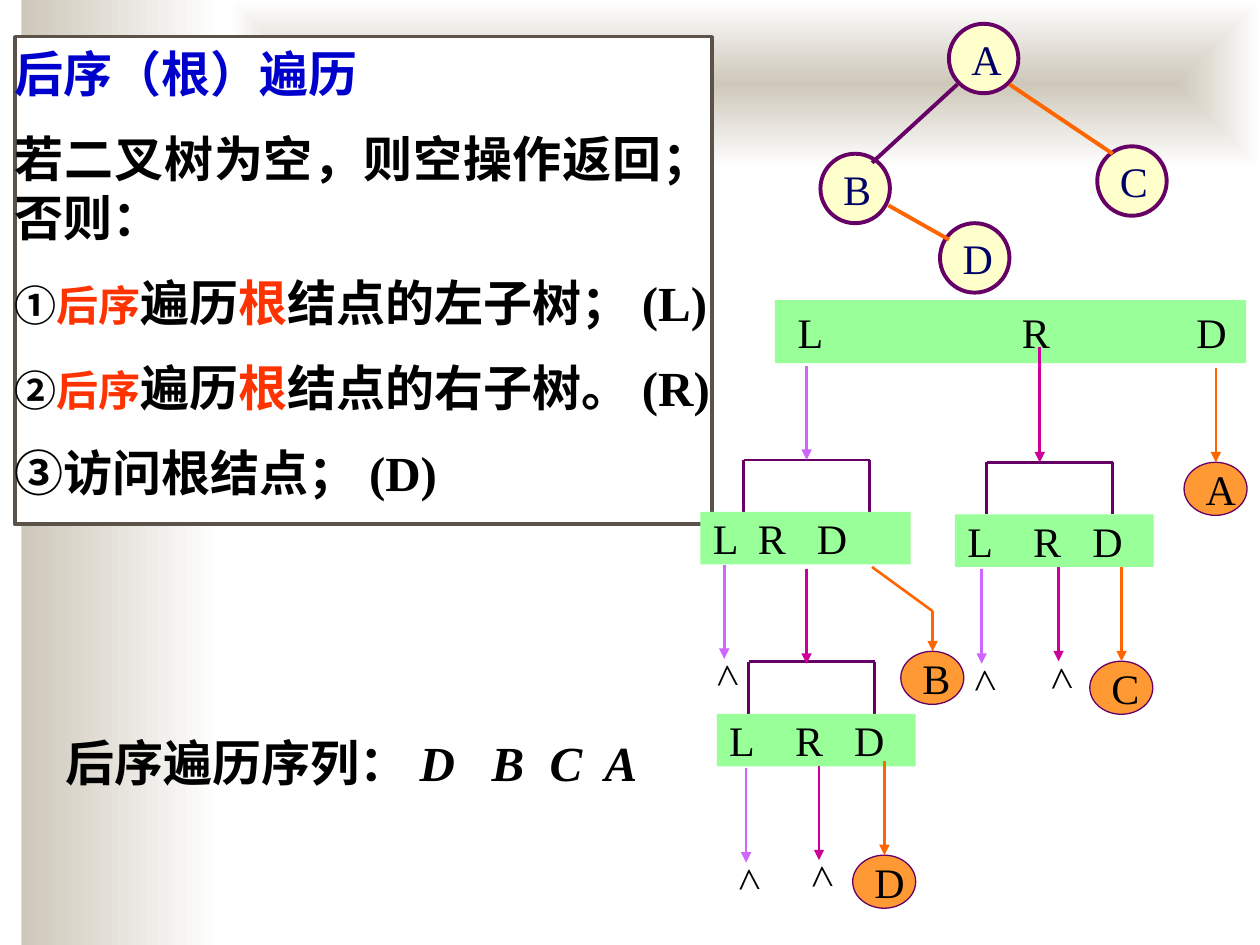
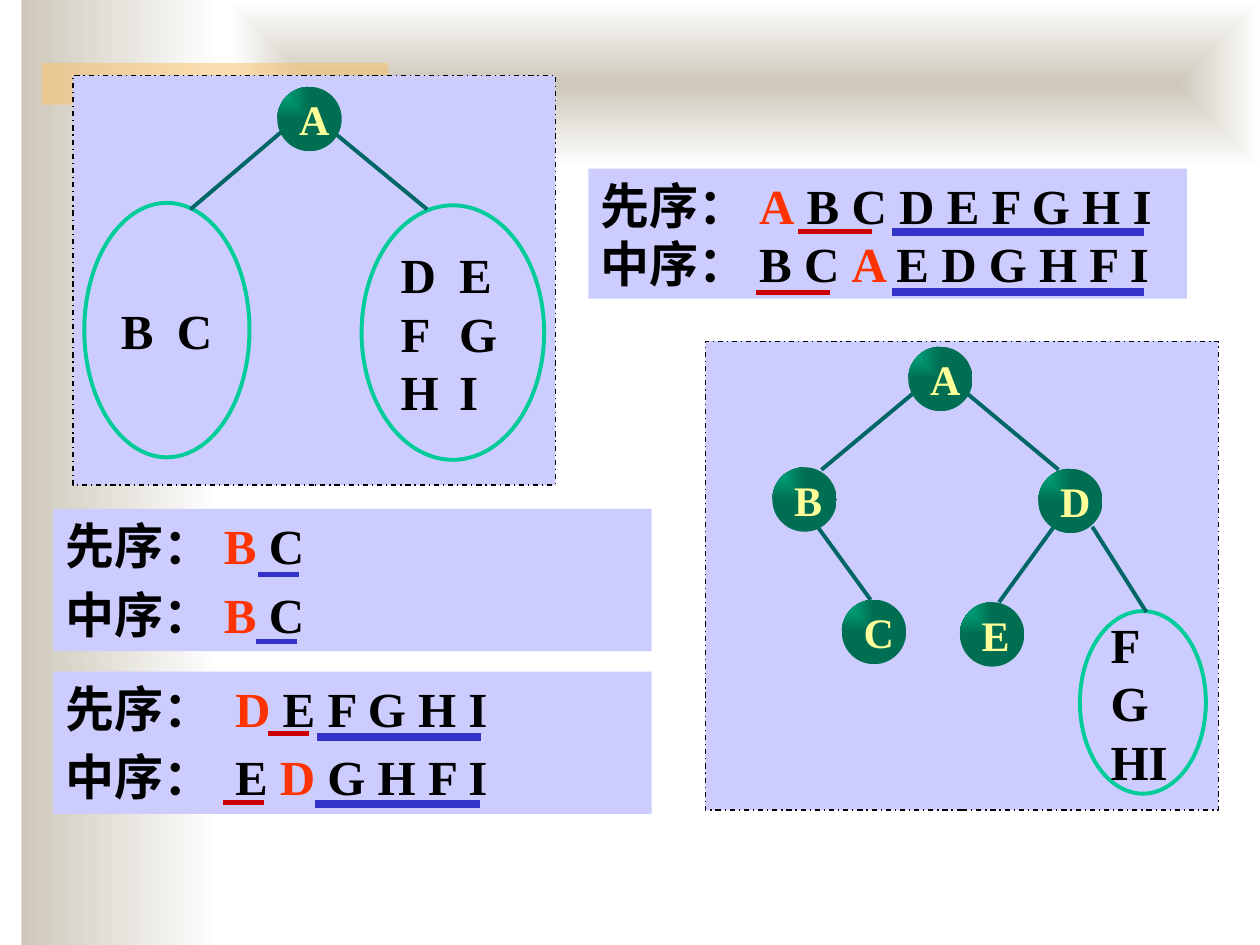
from lxml.etree import SubElement
from pptx import Presentation
from pptx.dml.color import RGBColor
from pptx.enum.dml import MSO_LINE
from pptx.enum.shapes import MSO_CONNECTOR, MSO_SHAPE
from pptx.enum.text import MSO_ANCHOR, PP_ALIGN
from pptx.oxml.ns import qn
from pptx.util import Cm, Pt

COLORS = {
    "black": "000000", "white": "FFFFFF", "sand": "CEC8BA", "amber": "FAC164",
    "frame": "5B5249", "title": "0000CC", "key": "FF3300", "cream": "FFFFCC",
    "navy": "000066", "purple": "660066", "orange": "FF6600", "leaf": "FF9933",
    "card": "99FF99", "left": "CC66FF", "right": "CC0099", "panel": "CCCCFF",
    "subtree": "00CC99", "edge": "006666", "shine": "00B285", "shade": "006E52",
    "label": "FFFF99", "red": "CC0000", "blue": "3333CC",
}
LATIN, CHINESE = "Times New Roman", "Noto Sans CJK SC"
ARROW = 1.9


def rgb(name):
    """Return the named colour."""
    return RGBColor.from_string(COLORS[name])


def box(slide, kind, place, fill=None, line=None, width=1.0):
    """Add a preset shape at left, top, width, height in centimetres."""
    shape = slide.shapes.add_shape(kind, *[Cm(length) for length in place])
    shape.shadow.inherit = False
    if fill:
        shape.fill.solid()
        shape.fill.fore_color.rgb = rgb(fill)
    else:
        shape.fill.background()
    if line:
        shape.line.color.rgb = rgb(line)
        shape.line.width = Pt(width)
    else:
        shape.line.fill.background()
    return shape


def shade(shape, start, end, path=None, focus=None):
    """Give a shape a level gradient, or one that spreads from a focus."""
    shape.fill.gradient()
    for stop, color, position in zip(shape.fill.gradient_stops, (start, end), (0, 1)):
        stop.color.rgb = rgb(color)
        stop.position = position
    shape.fill.gradient_angle = 0
    if path:
        gradient = shape.fill._xPr.find(qn("a:gradFill"))
        gradient.remove(gradient.find(qn("a:lin")))
        spread = SubElement(gradient, qn("a:path"), path=path)
        sides = {side: str(percent * 1000) for side, percent in zip("ltrb", focus)}
        SubElement(spread, qn("a:fillToRect"), **sides)


def write(shape, paragraphs, size=28, color="black", bold=True, gap=0, tabs=(),
          align=PP_ALIGN.LEFT, anchor=MSO_ANCHOR.TOP, wrap=True,
          insets=(0.25, 0.13, 0.25, 0.13)):
    """Fill a shape with paragraphs of (text, font settings) runs."""
    frame = shape.text_frame
    frame.word_wrap = wrap
    frame.vertical_anchor = anchor
    frame.margin_left, frame.margin_top, frame.margin_right, frame.margin_bottom = [
        Cm(inset) for inset in insets]
    for number, runs in enumerate(paragraphs):
        paragraph = frame.add_paragraph() if number else frame.paragraphs[0]
        paragraph.alignment = align
        if tabs:
            stops = SubElement(paragraph._p.get_or_add_pPr(), qn("a:tabLst"))
            for tab in tabs:
                SubElement(stops, qn("a:tab"), pos=str(Cm(tab)), algn="l")
        if number and gap:
            paragraph.space_before = Pt(gap)
        for text, settings in runs:
            run = paragraph.add_run()
            run.text = text
            run.font.name = LATIN
            run.font.size = Pt(settings.get("size", size))
            run.font.bold = bold
            run.font.italic = settings.get("italic", False)
            run.font.color.rgb = rgb(settings.get("color", color))
            SubElement(run.font._element, qn("a:ea"), typeface=CHINESE)


def plain(*lines):
    """Turn strings into paragraphs of one run."""
    return [[(text, {})] for text in lines]


def stroke(slide, start, end, color, width, arrow=False):
    """Draw a straight line, with an arrowhead at its end on request."""
    connector = slide.shapes.add_connector(
        MSO_CONNECTOR.STRAIGHT, *[Cm(length) for length in (*start, *end)])
    connector.line.color.rgb = rgb(color)
    connector.line.width = Pt(width)
    if arrow:
        SubElement(connector.line._get_or_add_ln(), qn("a:tailEnd"), type="triangle")
    SubElement(connector._element.spPr, qn("a:effectLst"))


def add_slide(deck):
    """Add a blank slide with the two sand-coloured bands."""
    slide = deck.slides.add_slide(deck.slide_layouts[6])
    side = box(slide, MSO_SHAPE.RECTANGLE, (0.43, 0, 4.01, 19.05))
    shade(side, "sand", "white")
    top = box(slide, MSO_SHAPE.RECTANGLE, (4.65, 0, 20.75, 3.38))
    shade(top, "sand", "white", "shape", (50, 50, 50, 50))
    return slide


def tree_node(slide, letter, left, top):
    """Add a cream node of the sample tree."""
    node = box(slide, MSO_SHAPE.OVAL, (left, top, 1.4, 1.4), "cream", "purple", 2.25)
    write(node, plain(letter), 24, "navy", False, anchor=MSO_ANCHOR.MIDDLE, wrap=False)


def order_card(slide, place, tabs, inset=0.25):
    """Add a green card with the letters L, R and D."""
    card = box(slide, MSO_SHAPE.RECTANGLE, place, "card")
    write(card, plain("L\tR\tD"), 24, bold=False, tabs=tabs,
          anchor=MSO_ANCHOR.MIDDLE, insets=(inset, 0.13, 0, 0.13))


def call_bracket(slide, left, top, card_left, card_width, tabs):
    """Add a bracket that opens onto the card of a recursive call."""
    right, bottom = left + 2.54, top + 1.05
    stroke(slide, (left, top), (right, top), "purple", 1.5)
    for x in (left, right):
        stroke(slide, (x, top), (x, bottom), "purple", 1.5)
    order_card(slide, (card_left, bottom, card_width, 1.06), tabs)


def visit(slide, letter, x, top, length=ARROW):
    """Add an arrow that ends in a visited node."""
    tip = top + length
    leaf = box(slide, MSO_SHAPE.OVAL, (x - 0.64, tip, 1.27, 1.07), "leaf", "purple", 0.75)
    write(leaf, plain(letter), 24, bold=False, anchor=MSO_ANCHOR.MIDDLE, wrap=False)
    stroke(slide, (x, top), (x, tip), "orange", 1.5, True)


def empty_subtree(slide, x, top, color):
    """Add an arrow that ends in the sign for an empty subtree."""
    tip = top + ARROW
    sign = slide.shapes.add_textbox(Cm(x - 0.53), Cm(tip - 0.33), Cm(1.07), Cm(1.27))
    sign.rotation = 268.3
    write(sign, plain(">"), 24, bold=False)
    stroke(slide, (x, top), (x, tip), color, 1.5, True)


def green_node(slide, letter, left, top):
    """Add a shaded node of a rebuilt tree."""
    node = box(slide, MSO_SHAPE.OVAL, (left, top, 1.3, 1.3))
    shade(node, "shine", "shade", "rect", (0, 0, 100, 100))
    write(node, plain(letter), 24, "label", anchor=MSO_ANCHOR.MIDDLE, wrap=False)


def subtree(slide, place, lines, tabs=(), wrap=True):
    """Add an outlined subtree whose nodes are still unordered."""
    outline = box(slide, MSO_SHAPE.OVAL, place, line="subtree", width=2.25)
    write(outline, plain(*lines), tabs=tabs, anchor=MSO_ANCHOR.MIDDLE, wrap=wrap,
          insets=(0.25, 0.13, 0, 0.13))


def tree_panel(slide, place):
    """Add the dashed panel behind a tree."""
    panel = box(slide, MSO_SHAPE.RECTANGLE, place, "panel", "black", 0.75)
    panel.line.dash_style = MSO_LINE.DASH_DOT


def sequences(slide, place, orders, gap=0):
    """Add a panel of sequences, each as text before, root and text after."""
    panel = box(slide, MSO_SHAPE.RECTANGLE, place, "panel")
    write(panel, [[(before, {}), (root, {"color": "key"}), (after, {})]
                  for before, root, after in orders], gap=gap)


def postorder_slide(deck):
    """Build the slide on postorder traversal."""
    slide = add_slide(deck)
    rules = box(slide, MSO_SHAPE.RECTANGLE, (0.3, 0.74, 14.05, 9.83), "white", "frame", 2)
    recursion = [
        [(mark, {"size": 24}), ("后序", {"size": 24, "color": "key"}), ("遍历", {}),
         ("根", {"color": "key"}), (rest, {})]
        for mark, rest in (("①", "结点的左子树；(L)"), ("②", "结点的右子树。(R)"))]
    write(rules, [[("后序（根）遍历", {"color": "title"})],
                  *plain("若二叉树为空，则空操作返回；否则："),
                  *recursion, *plain("③访问根结点；(D)")],
          gap=15, align=PP_ALIGN.JUSTIFY, insets=(0, 0.13, 0, 0.13))
    result = slide.shapes.add_textbox(Cm(1.07), Cm(14.63), Cm(12.65), Cm(1.45))
    write(result, [[("后序遍历序列：", {}), ("D\tB\tC\tA", {"italic": True})]],
          tabs=(8.59, 9.76, 10.87))

    for letter, left, top in (("A", 19.13, 0.48), ("D", 18.95, 4.5),
                              ("B", 16.54, 3.1), ("C", 22.12, 2.95)):
        tree_node(slide, letter, left, top)
    for start, end, color in (((19.3, 1.7), (17.58, 3.28), "purple"),
                              ((20.35, 1.7), (22.43, 3.1), "orange"),
                              ((17.91, 4.14), (19.13, 4.83), "orange")):
        stroke(slide, start, end, color, 2.25)

    order_card(slide, (15.62, 6.05, 9.5, 1.27), (4.52, 8.04), 0.46)
    call_bracket(slide, 14.99, 9.27, 14.12, 4.24, (0.91, 2.1))
    call_bracket(slide, 15.09, 13.34, 14.45, 4.01, (1.33, 2.52))
    call_bracket(slide, 19.89, 9.32, 19.25, 4.01, (1.33, 2.52))
    for x, top, tip, color in ((16.26, 7.37, 9.27, "left"), (20.96, 6.99, 9.32, "right"),
                               (16.26, 11.48, 13.38, "right")):
        stroke(slide, (x, top), (x, tip), color, 1.5, True)
    for x, top, color in ((14.6, 11.38, "left"), (16.51, 15.44, "right"),
                          (15.04, 15.49, "left"), (21.34, 11.43, "right"),
                          (19.79, 11.48, "left")):
        empty_subtree(slide, x, top, color)
    for letter, x, top in (("A", 24.51, 7.42), ("D", 17.83, 15.34), ("C", 22.61, 11.43)):
        visit(slide, letter, x, top)
    stroke(slide, (17.58, 11.43), (18.8, 12.32), "orange", 1.5)
    visit(slide, "B", 18.8, 12.32, 0.81)


def rebuild_slide(deck):
    """Build the slide that rebuilds a tree from two sequences."""
    slide = add_slide(deck)
    accent = box(slide, MSO_SHAPE.RECTANGLE, (0.84, 1.27, 6.99, 0.84), "amber")
    tint = accent.fill._xPr.find(qn("a:solidFill"))[0]
    SubElement(tint, qn("a:alpha"), val="50000")

    sequences(slide, (11.86, 3.4, 12.07, 2.62),
              (("先序：", "A", " B C D E F G H I"), ("中序：B C ", "A ", "E D G H F I")))
    sequences(slide, (1.07, 10.26, 12.07, 2.87),
              (("先序：", "B", " C"), ("中序：", "B", " C")), 5.6)
    sequences(slide, (1.07, 13.54, 12.07, 2.87),
              (("先序： ", "D", " E F G H I"), ("中序： E ", "D", " G H F I")), 5.6)
    for left, right, y, color, width in (
            (16.08, 17.58, 4.67, "red", 3), (17.98, 23.06, 4.67, "blue", 4.5),
            (15.24, 16.74, 5.89, "red", 3), (17.98, 23.06, 5.89, "blue", 4.5),
            (5.21, 6.02, 11.58, "blue", 3), (5.16, 5.99, 12.93, "blue", 3),
            (5.41, 6.22, 14.78, "red", 3), (6.4, 9.7, 14.86, "blue", 4.5),
            (4.5, 5.33, 16.18, "red", 3), (6.35, 9.68, 16.2, "blue", 4.5)):
        stroke(slide, (left, y), (right, y), color, width)

    tree_panel(slide, (1.47, 1.52, 9.73, 8.26))
    tree_panel(slide, (14.22, 6.88, 10.34, 9.45))
    subtree(slide, (1.7, 4.09, 3.33, 5.13), ("B\tC",), (1.13,))
    subtree(slide, (7.29, 4.14, 3.68, 5.13), ("D\tE", "F\tG", "H\tI"), (1.18,))
    subtree(slide, (21.77, 12.32, 2.54, 3.68), ("F", "G", "HI"), wrap=False)
    for start, end in (((5.66, 2.67), (3.84, 4.22)), ((6.73, 2.67), (8.61, 4.22)),
                       ((18.42, 7.92), (16.56, 9.47)), ((19.48, 7.92), (21.34, 9.47)),
                       ((16.46, 10.59), (17.55, 12.09)), ((21.23, 10.64), (20.14, 12.14)),
                       ((22.02, 10.62), (23.11, 12.34))):
        stroke(slide, start, end, "edge", 2.25)
    for letter, left, top in (("A", 5.59, 1.75), ("A", 18.31, 6.99), ("B", 15.57, 9.42),
                              ("C", 16.97, 12.09), ("D", 20.93, 9.45), ("E", 19.35, 12.14)):
        green_node(slide, letter, left, top)


def main():
    """Build and save the deck."""
    deck = Presentation()
    deck.slide_width, deck.slide_height = Cm(25.4), Cm(19.05)
    postorder_slide(deck)
    rebuild_slide(deck)
    deck.save("out.pptx")


if __name__ == "__main__":
    main()
